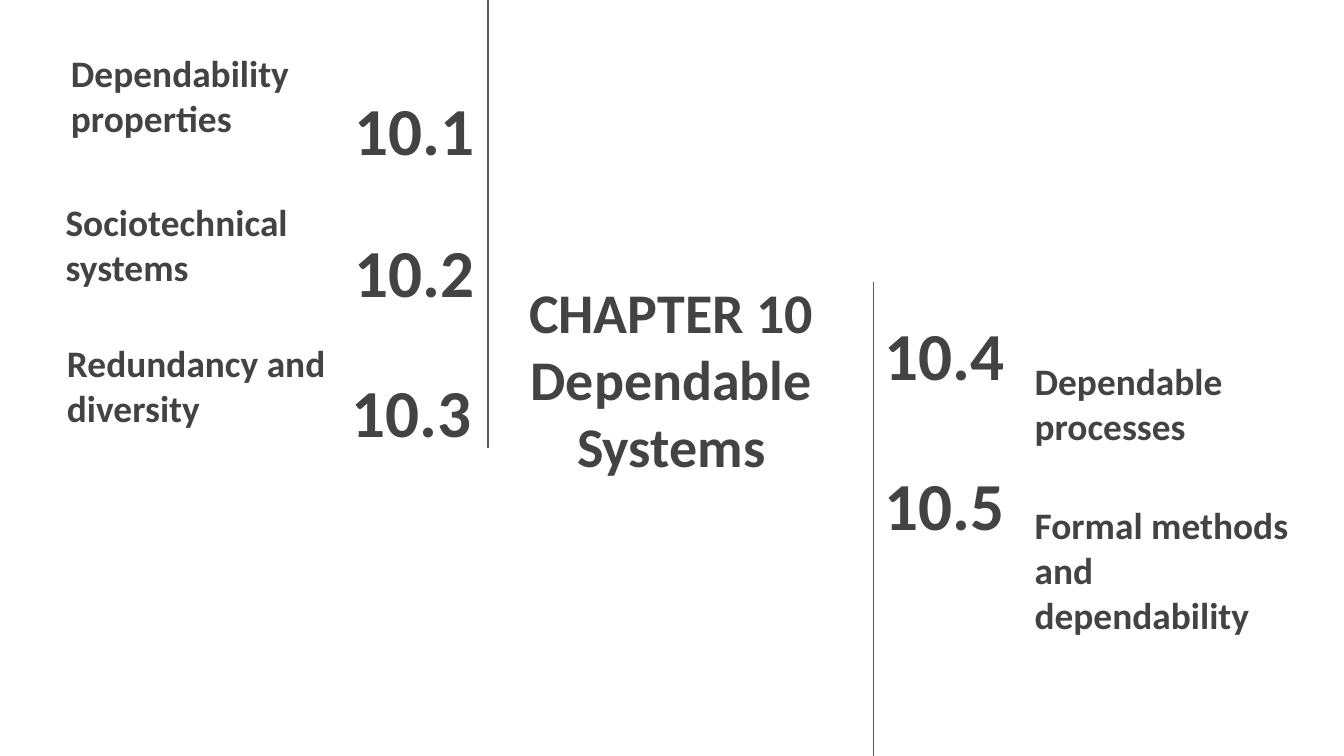
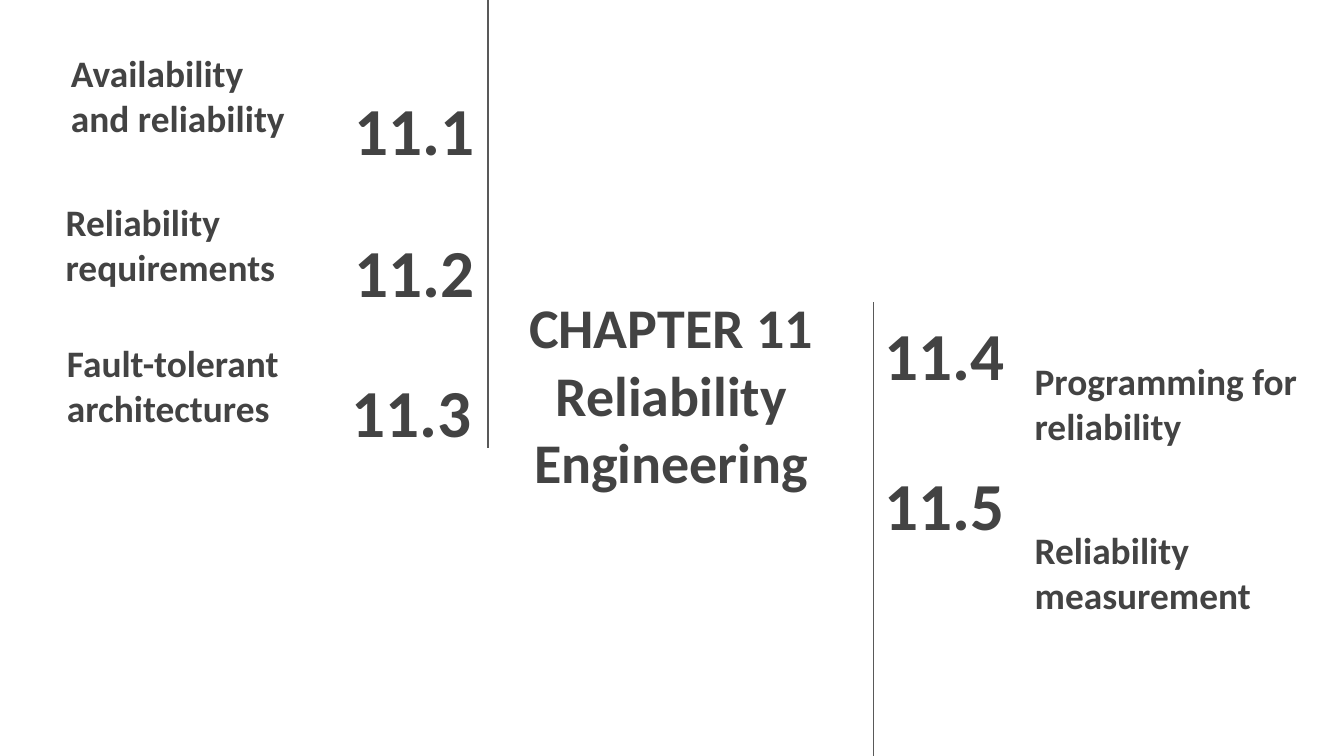
from pptx import Presentation
from pptx.dml.color import RGBColor
from pptx.enum.shapes import MSO_CONNECTOR
from pptx.enum.text import MSO_ANCHOR, MSO_AUTO_SIZE, PP_ALIGN
from pptx.oxml.ns import qn
from pptx.util import Inches, Pt

LEFT, CENTER, RIGHT = PP_ALIGN.LEFT, PP_ALIGN.CENTER, PP_ALIGN.RIGHT
MIDDLE, BOTTOM = MSO_ANCHOR.MIDDLE, MSO_ANCHOR.BOTTOM
NO_AUTOFIT = MSO_AUTO_SIZE.NONE
STRAIGHT = MSO_CONNECTOR.STRAIGHT

COLORS = {"background": "FFFFFF", "text": "434343", "line": "595959"}
FONT = "Calibri"
WIDTH = 10
HEIGHT = WIDTH * 9 / 16
TITLE_ONLY_LAYOUT = 5
LEFT_RULE, RIGHT_RULE = 3.63, 6.5
LEFT_RULE_END = 3.33

# Number box and alignment, then label box, for each section
SECTIONS = [
    ((2.42, 0.64, 1.21, 0.63), RIGHT, (0.43, 0.35, 2.16, 0.79)),
    ((2.42, 1.7, 1.21, 0.63), RIGHT, (0.39, 1.3, 2.17, 0.95)),
    ((2.4, 2.74, 1.21, 0.63), RIGHT, (0.4, 2.51, 2.16, 0.79)),
    ((6.48, 2.32, 1.17, 0.63), LEFT, (7.6, 2.54, 2.16, 0.89)),
    ((6.48, 3.43, 1.17, 0.63), LEFT, (7.6, 3.76, 2.16, 0.93)),
]

CHAPTERS = [
    {
        "number": 10,
        "title": "Dependable Systems",
        "title_box": (3.7, 2.3, 2.59, 1.03),
        "right_rule_start": 2.1,
        "last_label_height": 1.08,
        "labels": ["Dependability properties", "Sociotechnical systems",
                   "Redundancy and diversity", "Dependable processes",
                   "Formal methods and dependability"],
    },
    {
        "number": 11,
        "title": "Reliability Engineering",
        "title_box": (3.7, 2.1, 2.59, 1.66),
        "right_rule_start": 2.25,
        "last_label_height": 0.93,
        "labels": ["Availability\vand reliability", "Reliability requirements",
                   "Fault-tolerant architectures", "Programming for reliability",
                   "Reliability measurement"],
    },
]


class ChapterDeck:
    """Holds the shared style and the slide being built."""

    def __init__(self):
        self.presentation = Presentation()
        self.presentation.slide_width = Inches(WIDTH)
        self.presentation.slide_height = Inches(HEIGHT)
        self.slide = None

    def color(self, name):
        return RGBColor.from_string(COLORS[name])

    def add_slide(self):
        layout = self.presentation.slide_layouts[TITLE_ONLY_LAYOUT]
        self.slide = self.presentation.slides.add_slide(layout)
        fill = self.slide.background.fill
        fill.solid()
        fill.fore_color.rgb = self.color("background")

    def format_text(self, shape, text, size, alignment, anchor):
        frame = shape.text_frame
        frame.text = text
        frame.word_wrap = True
        frame.auto_size = NO_AUTOFIT
        frame.vertical_anchor = anchor
        frame.margin_left = frame.margin_right = Inches(0.1)
        frame.margin_top = frame.margin_bottom = Inches(0.1)
        for paragraph in frame.paragraphs:
            paragraph.alignment = alignment
            for run in paragraph.runs:
                run.font.name = FONT
                run.font.size = Pt(size)
                run.font.bold = True
                run.font.color.rgb = self.color("text")

    def title(self, text, box):
        shape = self.slide.shapes.title
        shape.left, shape.top, shape.width, shape.height = map(Inches, box)
        self.format_text(shape, text, 30, CENTER, MIDDLE)

    def text(self, text, box, size, alignment, anchor):
        shape = self.slide.shapes.add_textbox(*map(Inches, box))
        self.format_text(shape, text, size, alignment, anchor)

    def vertical_rule(self, x, top, bottom):
        rule = self.slide.shapes.add_connector(
            STRAIGHT, Inches(x), Inches(top), Inches(x), Inches(bottom))
        rule.line.color.rgb = self.color("line")
        rule.line.width = Pt(0.75)
        properties = rule._element.spPr
        properties.append(properties.makeelement(qn("a:effectLst"), {}))

    def chapter(self, chapter):
        self.add_slide()
        number = chapter["number"]
        self.title(f"CHAPTER {number}\v{chapter['title']}", chapter["title_box"])
        sections = zip(SECTIONS, chapter["labels"])
        for index, ((number_box, alignment, label_box), label) in enumerate(sections, 1):
            if index == len(SECTIONS):
                label_box = (*label_box[:3], chapter["last_label_height"])
            self.text(f"{number}.{index}", number_box, 36, alignment, MIDDLE)
            self.text(label, label_box, 20, LEFT, BOTTOM)
        self.vertical_rule(LEFT_RULE, 0, LEFT_RULE_END)
        self.vertical_rule(RIGHT_RULE, chapter["right_rule_start"], HEIGHT)


def main():
    deck = ChapterDeck()
    for chapter in CHAPTERS:
        deck.chapter(chapter)
    deck.presentation.save("out.pptx")


if __name__ == "__main__":
    main()
